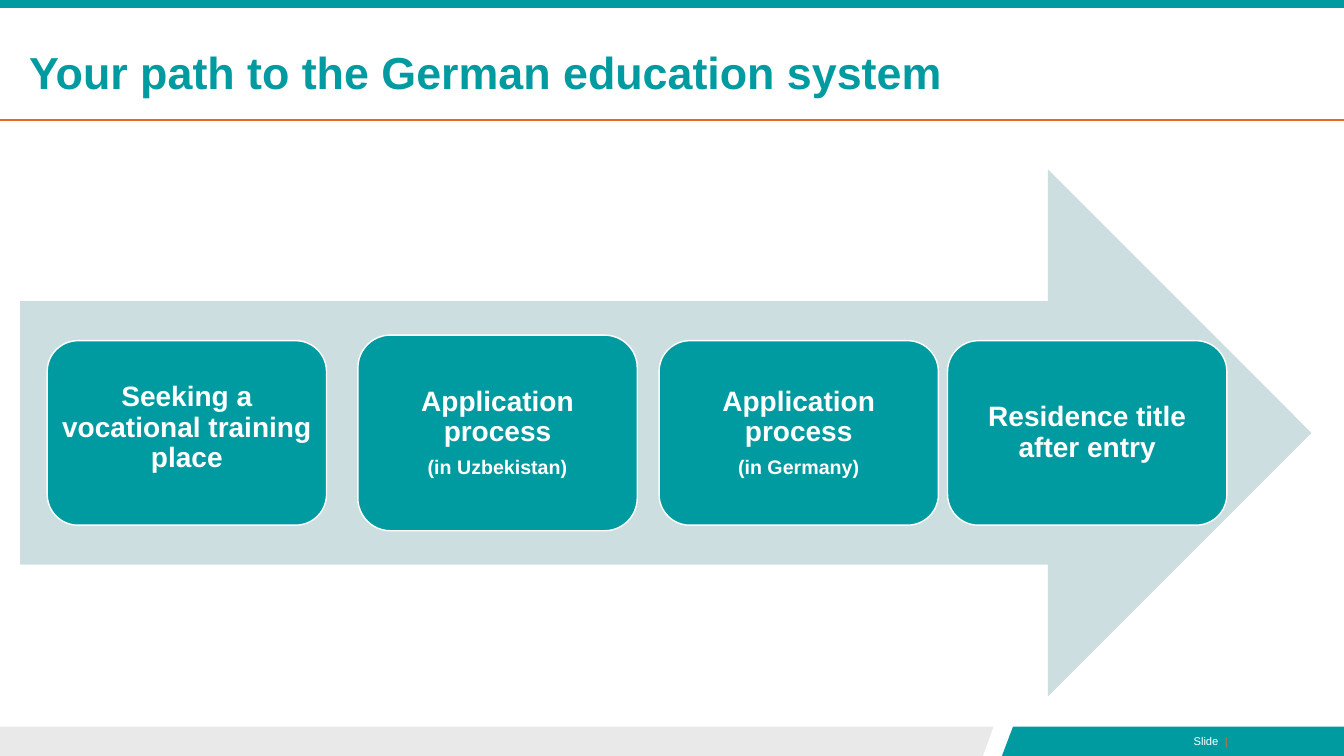
from dataclasses import dataclass

from lxml import etree
from pptx import Presentation
from pptx import util as u
from pptx.dml.color import RGBColor
from pptx.enum import shapes, text
from pptx.oxml import ns


@dataclass(frozen=True)
class Theme:
    font: str = "Arial"
    teal: str = "009BA0"
    pale_teal: str = "CCDEDF"
    orange: str = "E86721"
    grey: str = "E9E9E9"
    white: str = "FFFFFF"
    title_size: int = 32
    step_size: int = 20
    place_size: int = 14
    footer_size: int = 8


@dataclass(frozen=True)
class Step:
    left: float
    label: str
    place: str = ""
    height: float = 4.65
    bottom_inset: float = 0.1


THEME = Theme()
SLIDE_WIDTH, SLIDE_HEIGHT = 33.87, 19.05
FOOTER_TOP = 18.31
ARROW_TOP, ARROW_HEIGHT = 4.27, 13.28
STEP_WIDTH = 7.04
STEPS = (
    Step(1.19, "Seeking a vocational training place", bottom_inset=0.35),
    Step(9.02, "Application process", "(in Uzbekistan)", height=4.93),
    Step(16.61, "Application process", "(in Germany)"),
    Step(23.88, "Residence title after entry"),
)


def style_run(run, size: int, color: str, bold: bool = False) -> None:
    run.font.name = THEME.font
    run.font.size = u.Pt(size)
    run.font.bold = bold
    run.font.color.rgb = RGBColor.from_string(color)


def paint(shape, fill: str) -> None:
    shape.shadow.inherit = False
    shape.fill.solid()
    shape.fill.fore_color.rgb = RGBColor.from_string(fill)
    shape.line.fill.background()


def add_block(slide, kind, left: float, top: float, width: float, height: float, fill: str):
    shape = slide.shapes.add_shape(kind, u.Cm(left), u.Cm(top), u.Cm(width), u.Cm(height))
    paint(shape, fill)
    return shape


def add_footer_band(slide, corners: list[tuple[float, float]], fill: str) -> None:
    points = [(u.Cm(x), u.Cm(y)) for x, y in corners]
    builder = slide.shapes.build_freeform(*points[0])
    builder.add_line_segments(points[1:], close=True)
    paint(builder.convert_to_shape(), fill)


def add_footer_text(slide) -> None:
    box = slide.shapes.add_textbox(u.Cm(28.22), u.Cm(18.39), u.Cm(2.97), u.Cm(0.61))
    box.text_frame.word_wrap = True
    paragraph = box.text_frame.paragraphs[0]
    paragraph.alignment = text.PP_ALIGN.RIGHT
    for words, color in (("Slide  ", THEME.white), ("|", THEME.orange)):
        run = paragraph.add_run()
        run.text = words
        style_run(run, THEME.footer_size, color)


def add_rule(slide, top: float) -> None:
    rule = slide.shapes.add_connector(
        shapes.MSO_CONNECTOR.STRAIGHT, 0, u.Cm(top), u.Cm(SLIDE_WIDTH), u.Cm(top))
    rule.line.color.rgb = RGBColor.from_string(THEME.orange)
    rule.line.width = u.Pt(1.25)
    etree.SubElement(rule._element.spPr, ns.qn("a:effectLst"))


def set_title(slide, words: str) -> None:
    title = slide.shapes.title
    title.left, title.top = u.Cm(0.48), u.Cm(0.74)
    title.width, title.height = u.Cm(25.48), u.Cm(2.29)
    frame = title.text_frame
    frame.text = words
    frame.auto_size = text.MSO_AUTO_SIZE.NONE
    frame.vertical_anchor = text.MSO_ANCHOR.MIDDLE
    paragraph = frame.paragraphs[0]
    paragraph.alignment = text.PP_ALIGN.LEFT
    paragraph.line_spacing = 0.9
    style_run(paragraph.runs[0], THEME.title_size, THEME.teal, bold=True)


def add_step(slide, step: Step) -> None:
    top = ARROW_TOP + (ARROW_HEIGHT - step.height) / 2
    shape = add_block(slide, shapes.MSO_SHAPE.ROUNDED_RECTANGLE,
                      step.left, top, STEP_WIDTH, step.height, THEME.teal)
    shape.line.color.rgb = RGBColor.from_string(THEME.white)
    shape.line.width = u.Pt(1)
    frame = shape.text_frame
    frame.word_wrap = True
    frame.vertical_anchor = text.MSO_ANCHOR.MIDDLE
    frame.margin_left = frame.margin_right = frame.margin_top = u.Cm(0.1)
    frame.margin_bottom = u.Cm(step.bottom_inset)
    frame.text = "\n".join(filter(None, (step.label, step.place)))
    for paragraph, size in zip(frame.paragraphs, (THEME.step_size, THEME.place_size)):
        paragraph.alignment = text.PP_ALIGN.CENTER
        paragraph.line_spacing = 0.9
        paragraph.space_after = u.Pt(0.35 * size)
        style_run(paragraph.runs[0], size, THEME.white, bold=True)


def main() -> None:
    presentation = Presentation()
    presentation.slide_width = u.Cm(SLIDE_WIDTH)
    presentation.slide_height = u.Cm(SLIDE_HEIGHT)
    slide = presentation.slides.add_slide(presentation.slide_layouts.get_by_name("Title Only"))

    # Footer bands with slanted ends
    add_footer_band(slide, [(0, FOOTER_TOP), (25.04, FOOTER_TOP),
                            (24.77, SLIDE_HEIGHT), (0, SLIDE_HEIGHT)], THEME.grey)
    add_footer_band(slide, [(25.53, FOOTER_TOP), (SLIDE_WIDTH, FOOTER_TOP),
                            (SLIDE_WIDTH, SLIDE_HEIGHT), (25.25, SLIDE_HEIGHT)], THEME.teal)
    add_footer_text(slide)

    # Header
    add_block(slide, shapes.MSO_SHAPE.RECTANGLE, 0, 0, SLIDE_WIDTH, 0.2, THEME.teal)
    add_rule(slide, 3.02)
    set_title(slide, "Your path to the German education system")

    # Path arrow with its steps
    add_block(slide, shapes.MSO_SHAPE.RIGHT_ARROW,
              0.51, ARROW_TOP, 32.54, ARROW_HEIGHT, THEME.pale_teal)
    for step in STEPS:
        add_step(slide, step)

    presentation.save("out.pptx")


if __name__ == "__main__":
    main()
